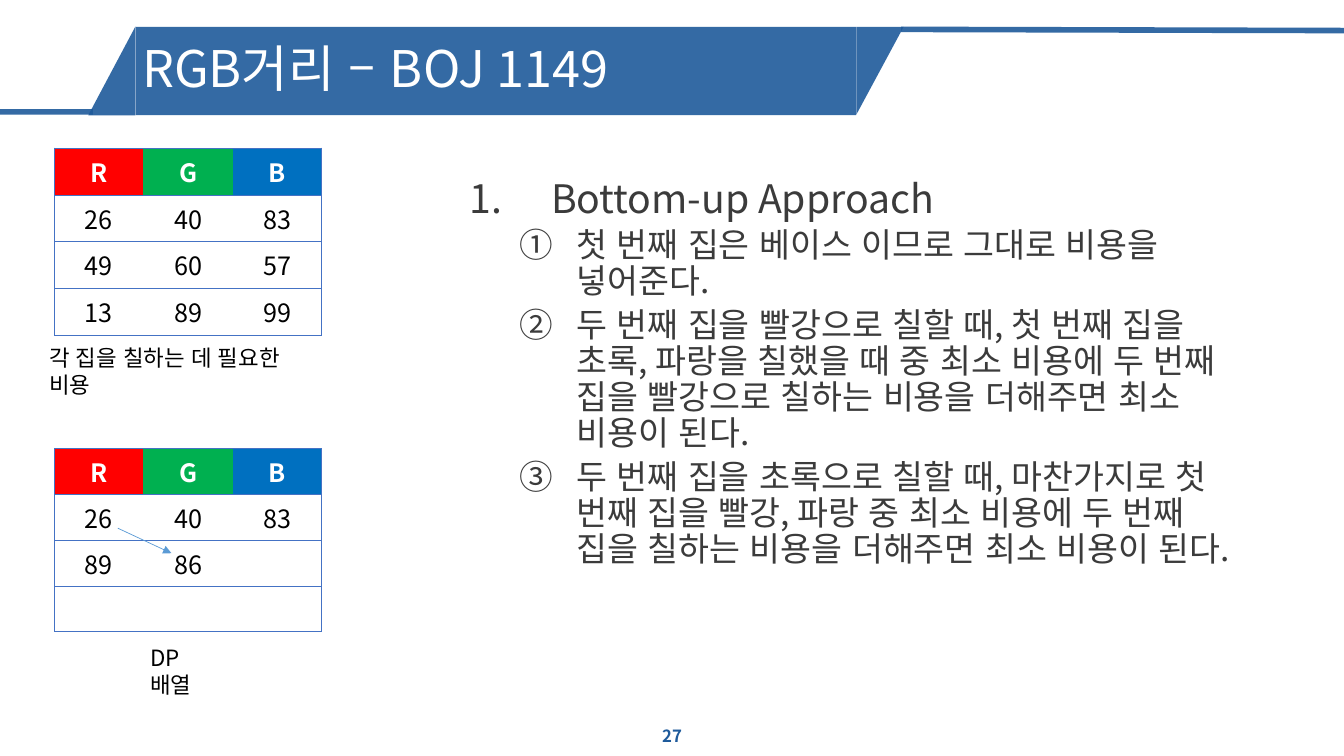
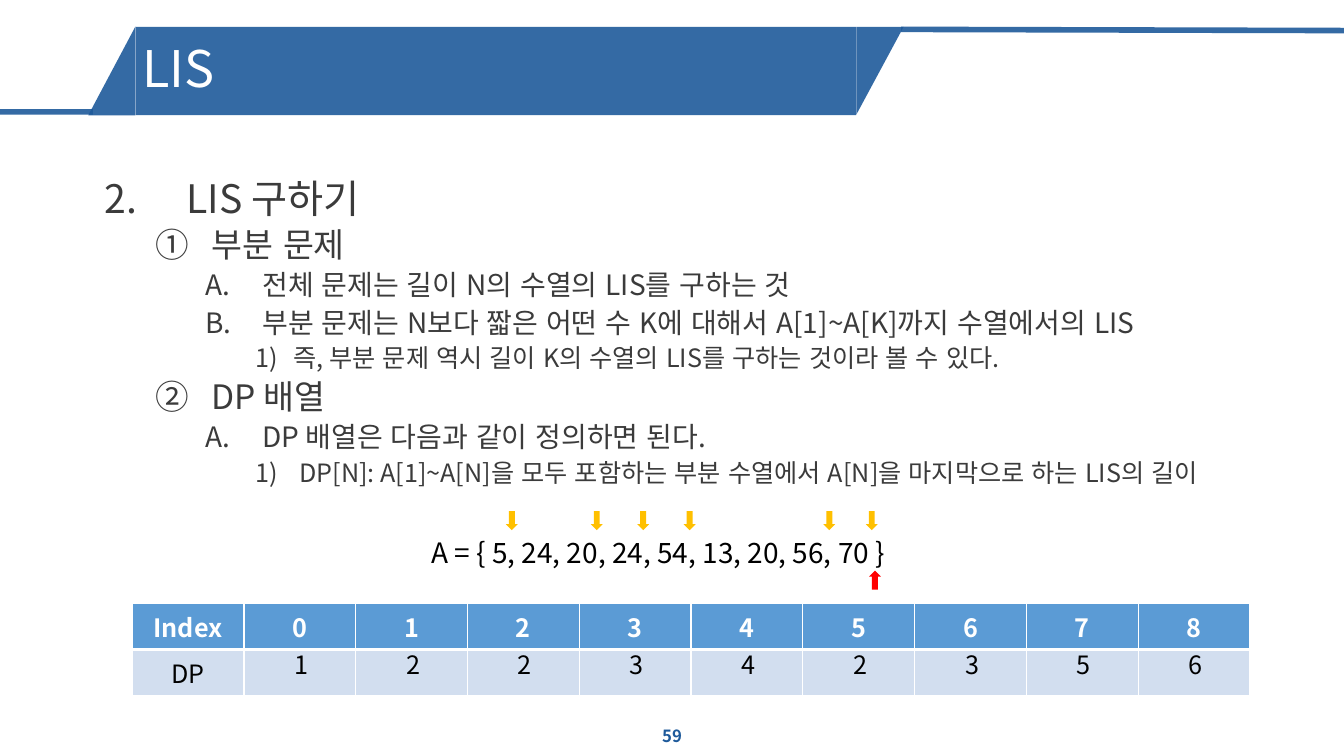
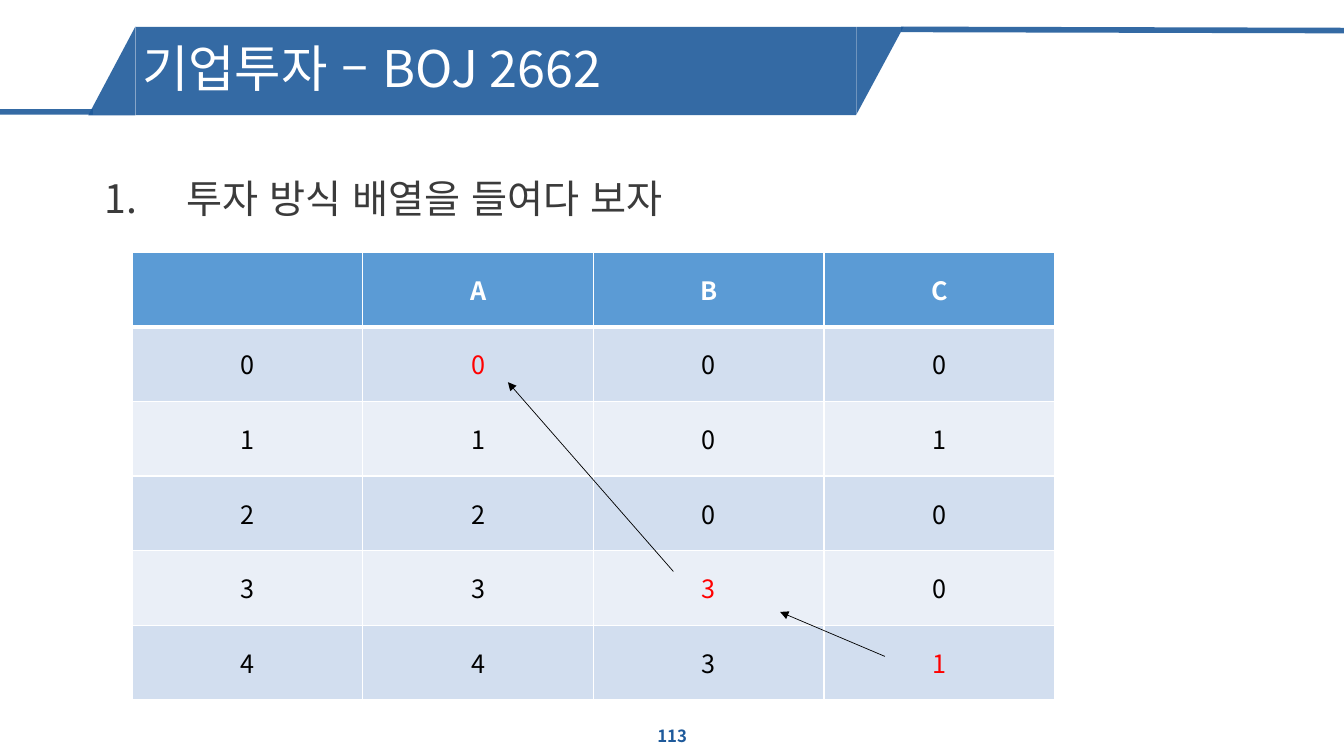
from lxml.etree import SubElement
from pptx import Presentation
from pptx.dml.color import RGBColor
from pptx.enum.lang import MSO_LANGUAGE_ID as Language
from pptx.enum.shapes import MSO_CONNECTOR as Connector, MSO_SHAPE as Shape
from pptx.enum.text import MSO_ANCHOR as Anchor, PP_ALIGN as Align
from pptx.oxml.ns import qn
from pptx.util import Cm, Pt

FONT = "Noto Sans CJK KR"
NAVY, BLUE, WHITE, BLACK, RED = "1E5A9B", "5B9BD5", "FFFFFF", "000000", "FF0000"
BANDS = ("D2DEEF", "EAEFF7")
OPACITY = 90000
CHANNELS = {"R": RED, "G": "00B050", "B": "0070C0"}

# Outline levels: numbering, left margin, hanging indent (cm), text size
LEVELS = (
    ("arabicPeriod", 2.06, 2.06, 28),
    ("circleNumDbPlain", 2.7, 1.43, 24),
    ("alphaUcPeriod", 3.97, 1.43, 20),
    ("arabicParenR", 4.76, 0.95, 18),
)


def color(code):
    return RGBColor.from_string(code)


def assign(target, values):
    for name, value in values.items():
        setattr(target, name, value)


def write(para, text, size, code=BLACK, bold=False):
    span = para.add_run()
    span.text = text
    assign(span.font, {"name": FONT, "size": Pt(size), "bold": bold,
                       "language_id": Language.KOREAN})
    span.font.color.rgb = color(code)
    SubElement(span.font._element, qn("a:ea"), typeface=FONT)


def add_text_box(page, box, anchor=Anchor.TOP):
    frame = page.shapes.add_textbox(*map(Cm, box)).text_frame
    assign(frame, {"word_wrap": True, "vertical_anchor": anchor})
    return frame


def add_label(page, box, text, size, code=BLACK, bold=False,
              align=Align.LEFT, anchor=Anchor.TOP, spacing=1.0):
    para = add_text_box(page, box, anchor).paragraphs[0]
    assign(para, {"alignment": align, "line_spacing": spacing})
    write(para, text, size, code, bold)


def add_filled(page, kind, box, code, rotation=0):
    shape = page.shapes.add_shape(kind, *map(Cm, box))
    shape.shadow.inherit = False
    shape.rotation = rotation
    shape.fill.solid()
    shape.fill.fore_color.rgb = color(code)
    shape.line.fill.background()
    return shape


def add_line(page, start, end, code, width, arrow=False):
    line = page.shapes.add_connector(Connector.STRAIGHT, *map(Cm, start + end))
    line.line.width = Pt(width)
    line.line.color.rgb = color(code)
    if arrow:
        SubElement(line.line._get_or_add_ln(), qn("a:tailEnd"), type="triangle")
    SubElement(line._element.spPr, qn("a:effectLst"))
    return line


def add_frame(page, title, number):
    """Title band with its slanted ends, side rules and page number."""
    parts = [
        add_filled(page, Shape.RIGHT_TRIANGLE, (21.07, 1.19, 2.21, 1.19), NAVY, 90),
        add_line(page, (2.34, 2.82), (0, 2.82), NAVY, 4),
        add_filled(page, Shape.RIGHT_TRIANGLE, (1.7, 1.19, 2.24, 1.19), NAVY, 270),
        add_line(page, (33.87, 0.77), (22.71, 0.74), NAVY, 4),
        add_filled(page, Shape.RECTANGLE, (3.42, 0.68, 18.16, 2.22), NAVY),
    ]
    for part in parts:
        for tint in part._element.spPr.iter(qn("a:srgbClr")):
            SubElement(tint, qn("a:alpha"), val=str(OPACITY))
    add_label(page, (3.33, 0.76, 18.16, 2.06), title, 36, WHITE,
              anchor=Anchor.MIDDLE, spacing=0.9)
    add_label(page, (13.13, 18.03, 7.62, 1.02), number, 12, NAVY, True,
              Align.CENTER, Anchor.MIDDLE)


def add_outline(page, box, items, start=1):
    """Numbered outline from (level, text) pairs."""
    frame = add_text_box(page, box)
    for index, (level, text) in enumerate(items):
        para = frame.add_paragraph() if index else frame.paragraphs[0]
        numbering, margin, hanging, size = LEVELS[level]
        assign(para, {"level": level, "line_spacing": 0.9})
        if index:
            para.space_before = Pt(5)
        props = para._p.get_or_add_pPr()
        props.set("marL", str(Cm(margin)))
        props.set("indent", str(-Cm(hanging)))
        SubElement(props, qn("a:buFont"), typeface=FONT)
        bullet = SubElement(props, qn("a:buAutoNum"), type=numbering)
        if level == 0 and start > 1:
            bullet.set("startAt", str(start))
        write(para, text, size, "3B3B3B")


def set_borders(cell, edges):
    """Draw left, right, top and bottom edges; None hides an edge."""
    props = cell._tc.get_or_add_tcPr()
    for side, edge in zip("LRTB", edges):
        line = SubElement(props, qn(f"a:ln{side}"))
        if edge:
            line.set("w", str(Pt(edge[1])))
            SubElement(SubElement(line, qn("a:solidFill")), qn("a:srgbClr"), val=edge[0])
        else:
            SubElement(line, qn("a:noFill"))


def add_grid(page, box, rows, fill_at, edges_at, anchor=Anchor.TOP, marked=()):
    left, top, width, height = box
    table = page.shapes.add_table(len(rows), len(rows[0]), *map(Cm, box)).table
    for column in table.columns:
        column.width = Cm(width / len(rows[0]))
    for r, values in enumerate(rows):
        table.rows[r].height = Cm(height / len(rows))
        for c, value in enumerate(values):
            cell = table.cell(r, c)
            cell.vertical_anchor = anchor
            set_borders(cell, edges_at(r, c))
            fill = fill_at(r, c)
            if fill:
                cell.fill.solid()
                cell.fill.fore_color.rgb = color(fill)
            else:
                cell.fill.background()
            para = cell.text_frame.paragraphs[0]
            para.alignment = Align.CENTER
            if value:
                code = WHITE if r == 0 else RED if (r, c) in marked else BLACK
                write(para, value, 18, code, r == 0)


def add_cost_table(page, box, rows):
    """Table under red, green and blue headings, ruled between rows."""
    rule = ("4472C4", 0.5)
    heads = list(CHANNELS)
    add_grid(page, box, [heads] + rows,
             lambda r, c: None if r else CHANNELS[heads[c]],
             lambda r, c: (None if c else rule, rule if c == 2 else None, rule, rule))


def add_banded_table(page, box, rows, **options):
    """Blue heading row over alternating bands, with white gaps."""
    thin, thick = (WHITE, 1), (WHITE, 3)
    add_grid(page, box, rows,
             lambda r, c: BANDS[(r - 1) % 2] if r else BLUE,
             lambda r, c: (thin, thin, thick if r == 1 else thin, thin if r else thick),
             **options)


def build_rgb_street(page):
    add_frame(page, "RGB거리 – BOJ 1149", "27")
    add_outline(page, (11.58, 4.39, 19.94, 12.62), [
        (0, "Bottom-up Approach"),
        (1, "첫 번째 집은 베이스 이므로 그대로 비용을 넣어준다."),
        (1, "두 번째 집을 빨강으로 칠할 때, 첫 번째 집을 초록, 파랑을 칠했을 때 중 최소 "
            "비용에 두 번째 집을 빨강으로 칠하는 비용을 더해주면 최소 비용이 된다."),
        (1, "두 번째 집을 초록으로 칠할 때, 마찬가지로 첫 번째 집을 빨강, 파랑 중 최소 "
            "비용에 두 번째 집을 칠하는 비용을 더해주면 최소 비용이 된다."),
    ])
    # Cost table above, DP table below
    add_cost_table(page, (1.37, 3.73, 6.74, 4.72),
                   [["26", "40", "83"], ["49", "60", "57"], ["13", "89", "99"]])
    add_label(page, (0.99, 8.55, 7.49, 0.94), "각 집을 칠하는 데 필요한 비용", 16)
    add_cost_table(page, (1.37, 11.3, 6.74, 4.62),
                   [["26", "40", "83"], ["89", "86", ""], ["", "", ""]])
    add_label(page, (3.54, 16.11, 2.1, 0.94), "DP 배열", 16)
    add_line(page, (2.97, 13.31), (4.32, 13.94), BLUE, 0.5, arrow=True)


def build_lis(page):
    add_frame(page, "LIS", "59")
    add_outline(page, (2.39, 4.39, 29.11, 8.23), [
        (0, "LIS 구하기"),
        (1, "부분 문제"),
        (2, "전체 문제는 길이 N의 수열의 LIS를 구하는 것"),
        (2, "부분 문제는 N보다 짧은 어떤 수 K에 대해서 A[1]~A[K]까지 수열에서의 LIS"),
        (3, "즉, 부분 문제 역시 길이 K의 수열의 LIS를 구하는 것이라 볼 수 있다."),
        (1, "DP 배열"),
        (2, "DP 배열은 다음과 같이 정의하면 된다."),
        (3, " DP[N]: A[1]~A[N]을 모두 포함하는 부분 수열에서 A[N]을 마지막으로 하는 LIS의 길이"),
    ], start=2)
    # Sequence with its chosen members and current position
    add_label(page, (10.62, 13.36, 12.6, 1.12),
              "A = { 5, 24, 20, 24, 54, 13, 20, 56, 70 }", 20)
    for left in (12.75, 14.89, 16.06, 17.23, 20.75, 21.82):
        add_filled(page, Shape.DOWN_ARROW, (left, 12.88, 0.3, 0.48), "FFC000")
    add_filled(page, Shape.DOWN_ARROW, (21.9, 14.38, 0.3, 0.48), RED, 180)
    # Index table, with the lengths laid over its lower row
    left, top, width, height = box = (3.33, 15.2, 28.17, 2.34)
    lengths = "122342356"
    add_banded_table(page, box, [["Index", *map(str, range(9))], ["DP"] + [""] * 9])
    step = width / 10
    for index, length in enumerate(lengths, 1):
        add_label(page, (left + index * step + 0.04, top + 1.03, step, 1.02), length, 18,
                  align=Align.CENTER)


def build_investment(page):
    add_frame(page, "기업투자 – BOJ 2662", "113")
    add_outline(page, (2.39, 4.39, 29.11, 12.62), [(0, "투자 방식 배열을 들여다 보자")])
    add_banded_table(page, (3.33, 6.35, 23.25, 11.29),
                     [["", "A", "B", "C"], *map(list, ("0000", "1101", "2200", "3330", "4431"))],
                     anchor=Anchor.MIDDLE, marked={(1, 1), (4, 2), (5, 3)})
    # Trace back through the marked cells
    add_line(page, (22.3, 16.54), (19.66, 15.42), BLACK, 0.5, arrow=True)
    add_line(page, (16.97, 14.4), (12.8, 9.63), BLACK, 0.5, arrow=True)


def main():
    deck = Presentation()
    assign(deck, {"slide_width": Cm(33.87), "slide_height": Cm(19.05)})
    for build in (build_rgb_street, build_lis, build_investment):
        build(deck.slides.add_slide(deck.slide_layouts[6]))
    deck.save("out.pptx")


if __name__ == "__main__":
    main()
